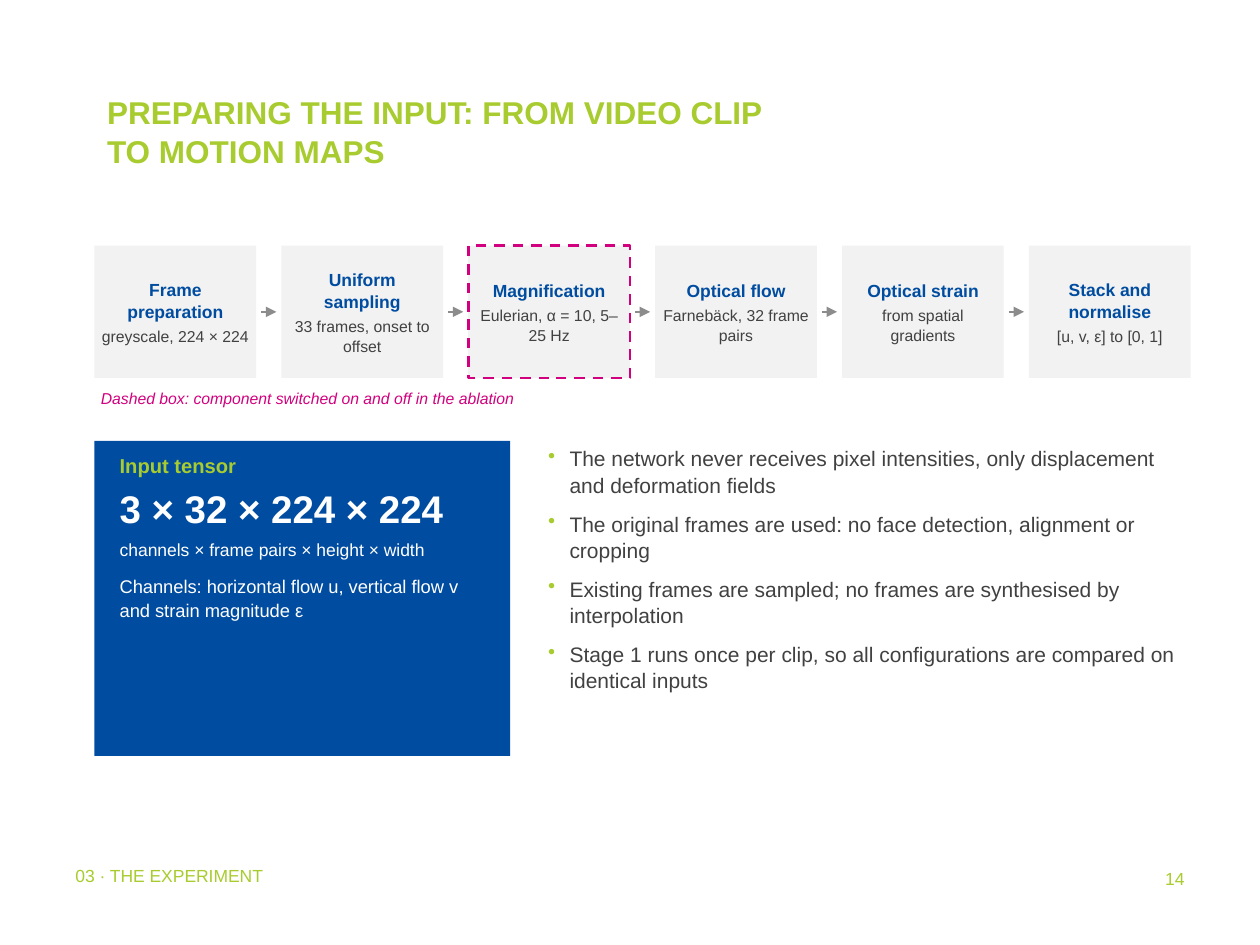
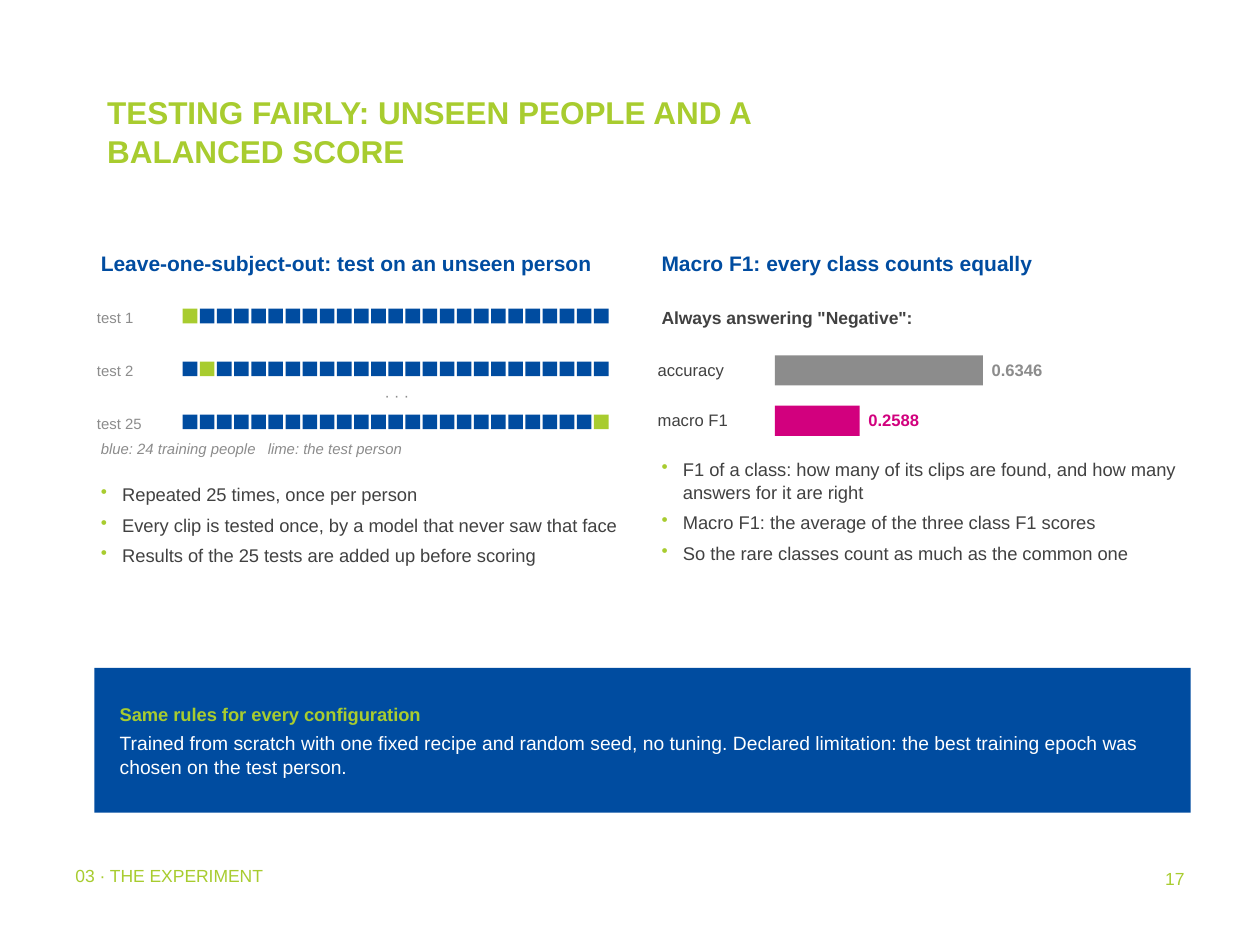
from dataclasses import dataclass

from lxml import etree
from pptx import Presentation
from pptx import util as u
from pptx.dml.color import RGBColor
from pptx.enum import dml, shapes, text
from pptx.oxml import ns

COLUMNS, ROWS = 200, 150
LIME, BLUE, PINK = "A8CC2F", "004CA0", "D2007E"
INK, GREY, PALE, WHITE = "414141", "8C8C8C", "F2F2F2", "FFFFFF"
LEFT, RIGHT, TOP = 15, 104, 39
FULL, HALF = 174, 85
MIDDLE = text.MSO_ANCHOR.MIDDLE
CENTER, RIGHTWARD = text.PP_ALIGN.CENTER, text.PP_ALIGN.RIGHT


def rgb(value):
    return RGBColor.from_string(value)


@dataclass
class Line:
    words: str
    size: float
    color: str = INK
    bold: bool = False
    italic: bool = False
    after: float = 0
    align: int = text.PP_ALIGN.LEFT
    bullet: bool = False
    tab: float = 0


class Deck:
    font = "Arial"
    spacing = 1.05
    section = "03 · THE EXPERIMENT"

    def __init__(self):
        self.show = Presentation()
        self.show.slide_width, self.show.slide_height = u.Inches(10), u.Inches(7.5)
        self.slide = None

    def x(self, columns):
        return u.Emu(round(self.show.slide_width * columns / COLUMNS))

    def y(self, rows):
        return u.Emu(round(self.show.slide_height * rows / ROWS))

    def area(self, column, row, width, height):
        return self.x(column), self.y(row), self.x(width), self.y(height)

    def page(self, title, number):
        self.slide = self.show.slides.add_slide(self.show.slide_layouts[5])
        heading = self.slide.shapes.title
        heading.left, heading.top, heading.width, heading.height = self.area(LEFT, 13.4, 108.4, 25)
        self.set_lines(heading, [Line(title, 18, LIME, bold=True)], inset=(2, 1))
        self.label(10, 136.6, 113.4, 8, Line(self.section, 10, LIME), inset=(2, 0.6))
        self.label(148.4, 136.6, 41.6, 10, Line(number, 10, LIME, align=RIGHTWARD), inset=(2, 1))

    def set_lines(self, holder, lines, inset=(1, 0.6), anchor=text.MSO_ANCHOR.TOP):
        frame = holder.text_frame
        frame.word_wrap = True
        frame.auto_size = text.MSO_AUTO_SIZE.NONE
        frame.vertical_anchor = anchor
        frame.margin_left = frame.margin_right = self.x(inset[0])
        frame.margin_top = frame.margin_bottom = self.y(inset[1])
        for index, line in enumerate(lines):
            paragraph = frame.paragraphs[0] if index == 0 else frame.add_paragraph()
            self.style_line(paragraph, line)

    def style_line(self, paragraph, line):
        paragraph.text = line.words
        paragraph.alignment = line.align
        paragraph.line_spacing = self.spacing
        paragraph.space_before = u.Pt(0)
        paragraph.space_after = u.Pt(line.after)
        properties = paragraph._p.get_or_add_pPr()
        if line.bullet:
            hang = self.x(3.4)
            properties.set("marL", str(hang))
            properties.set("indent", str(-hang))
            tint = etree.SubElement(properties, ns.qn("a:buClr"))
            etree.SubElement(tint, ns.qn("a:srgbClr"), val=LIME)
            etree.SubElement(properties, ns.qn("a:buChar"), char="•")
        if line.tab:
            stops = etree.SubElement(properties, ns.qn("a:tabLst"))
            etree.SubElement(stops, ns.qn("a:tab"), pos=str(self.x(line.tab)), algn="l")
        font = paragraph.font
        font.name, font.size = self.font, u.Pt(line.size)
        font.bold, font.italic = line.bold, line.italic
        font.color.rgb = rgb(line.color)

    def texts(self, column, row, width, height, lines, **style):
        holder = self.slide.shapes.add_textbox(*self.area(column, row, width, height))
        self.set_lines(holder, lines, **style)

    def label(self, column, row, width, height, line, inset=(0.4, 0.6), anchor=text.MSO_ANCHOR.TOP):
        self.texts(column, row, width, height, [line], inset=inset, anchor=anchor)

    def bullets(self, column, row, width, height, size, after, sentences):
        lines = [Line(words, size, after=after, bullet=True) for words in sentences]
        self.texts(column, row, width, height, lines)

    def block(self, column, row, width, height, fill, lines=(), dashed=None, **style):
        rectangle = self.slide.shapes.add_shape(
            shapes.MSO_SHAPE.RECTANGLE, *self.area(column, row, width, height))
        rectangle.shadow.inherit = False
        rectangle.fill.solid()
        rectangle.fill.fore_color.rgb = rgb(fill)
        if dashed:
            rectangle.line.color.rgb = rgb(dashed)
            rectangle.line.width = u.Pt(1.5)
            rectangle.line.dash_style = dml.MSO_LINE.DASH
        else:
            rectangle.line.fill.background()
        if lines:
            self.set_lines(rectangle, lines, **style)

    def arrow(self, start, end, row):
        link = self.slide.shapes.add_connector(
            shapes.MSO_CONNECTOR.STRAIGHT, self.x(start), self.y(row), self.x(end), self.y(row))
        link.line.color.rgb = rgb(GREY)
        link.line.width = u.Pt(1.25)
        properties = link._element.spPr
        etree.SubElement(properties.find(ns.qn("a:ln")), ns.qn("a:tailEnd"), type="triangle")
        etree.SubElement(properties, ns.qn("a:effectLst"))


def input_page(deck):
    deck.page("PREPARING THE INPUT: FROM VIDEO CLIP TO MOTION MAPS", "14")
    stages = [
        ("Frame preparation", "greyscale, 224 × 224"),
        ("Uniform sampling", "33 frames, onset to offset"),
        ("Magnification", "Eulerian, α = 10, 5–25 Hz"),
        ("Optical flow", "Farnebäck, 32 frame pairs"),
        ("Optical strain", "from spatial gradients"),
        ("Stack and normalise", "[u, v, ε] to [0, 1]"),
    ]
    gap, height, clearance = 4, 21, 0.8
    width = (FULL - gap * (len(stages) - 1)) / len(stages)
    for index, (stage, detail) in enumerate(stages):
        column = LEFT + index * (width + gap)
        if index:
            deck.arrow(column - gap + clearance, column - clearance, TOP + height / 2)
        deck.block(column, TOP, width, height, PALE,
                   [Line(stage, 10, BLUE, bold=True, after=2, align=CENTER),
                    Line(detail, 9, align=CENTER)],
                   dashed=PINK if stage == "Magnification" else None,
                   inset=(1.2, 0.6), anchor=MIDDLE)
    deck.texts(LEFT, 61, FULL, 6, [
        Line("Dashed box: component switched on and off in the ablation", 9, PINK, italic=True)])
    deck.block(LEFT, 70, 66, 50, BLUE, [
        Line("Input tensor", 11.5, LIME, bold=True, after=3),
        Line("3 × 32 × 224 × 224", 22, WHITE, bold=True, after=4),
        Line("channels × frame pairs × height × width", 10, WHITE, after=8),
        Line("Channels: horizontal flow u, vertical flow v and strain magnitude ε", 10.5, WHITE),
    ], inset=(4, 1.8))
    deck.bullets(86, 70, 103, 59, 12, 7, [
        "The network never receives pixel intensities, only displacement and deformation fields",
        "The original frames are used: no face detection, alignment or cropping",
        "Existing frames are sampled; no frames are synthesised by interpolation",
        "Stage 1 runs once per clip, so all configurations are compared on identical inputs",
    ])


def held_out_people(deck):
    people, strip, tile_gap = 25, 68, 0.4
    first_tile, first_row, pitch = 29, 49, 8.4
    deck.texts(LEFT, TOP, HALF, 7, [
        Line("Leave-one-subject-out: test on an unseen person", 12, BLUE, bold=True)])
    step = strip / people
    tile = step - tile_gap
    for index, test in enumerate((1, 2, people)):
        row = first_row + index * pitch
        deck.label(LEFT, row - 1.6, 14, 6, Line(f"test {test}", 8.5, GREY), anchor=MIDDLE)
        for person in range(people):
            color = LIME if person + 1 == test else BLUE
            deck.block(first_tile + person * step, row, tile, tile, color)
    deck.label(first_tile, 60.4, strip, 4.4, Line("· · ·", 9, GREY, align=CENTER), inset=(0, 0.6))
    deck.texts(LEFT, 69, HALF, 6, [
        Line("blue: 24 training people\tlime: the test person", 8.5, GREY, italic=True, tab=26.5)])
    deck.bullets(LEFT, 76, HALF, 28, 10.5, 4, [
        "Repeated 25 times, once per person",
        "Every clip is tested once, by a model that never saw that face",
        "Results of the 25 tests are added up before scoring",
    ])


def balanced_score(deck):
    base, unit = 123, 52
    deck.texts(RIGHT, TOP, HALF, 7, [
        Line("Macro F1: every class counts equally", 12, BLUE, bold=True)])
    deck.texts(RIGHT, 48, HALF, 6, [Line('Always answering "Negative":', 10, bold=True)])
    scores = [("accuracy", 0.6346, GREY), ("macro F1", 0.2588, PINK)]
    for index, (measure, score, color) in enumerate(scores):
        row, length = 55.6 + index * 8, score * unit
        deck.label(RIGHT, row, 19, 6, Line(measure, 9.5), anchor=MIDDLE)
        deck.block(base, row + 0.8, length, 4.8, color)
        deck.label(base + length + 1, row, 16, 6,
                   Line(f"{score:.4f}", 9.5, color, bold=True), anchor=MIDDLE)
    deck.bullets(RIGHT, 72, HALF, 32, 10.5, 4, [
        "F1 of a class: how many of its clips are found, and how many answers for it are right",
        "Macro F1: the average of the three class F1 scores",
        "So the rare classes count as much as the common one",
    ])


def testing_page(deck):
    deck.page("TESTING FAIRLY: UNSEEN PEOPLE AND A BALANCED SCORE", "17")
    held_out_people(deck)
    balanced_score(deck)
    deck.block(LEFT, 106, FULL, 23, BLUE, [
        Line("Same rules for every configuration", 10.5, LIME, bold=True, after=3),
        Line("Trained from scratch with one fixed recipe and random seed, no tuning. Declared "
             "limitation: the best training epoch was chosen on the test person.",
             11, WHITE, after=3),
    ], inset=(4, 1.8), anchor=MIDDLE)


def main():
    deck = Deck()
    input_page(deck)
    testing_page(deck)
    deck.show.save("out.pptx")


if __name__ == "__main__":
    main()
